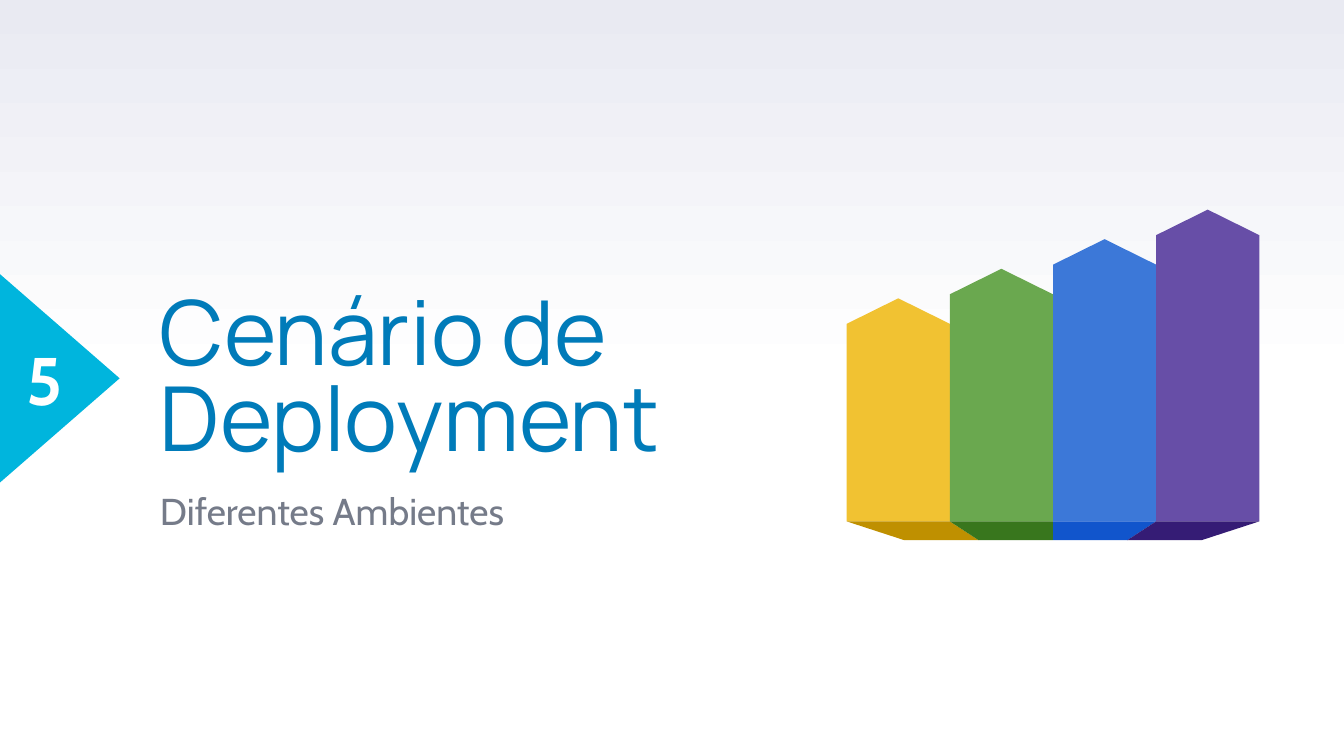
"""Build a section title slide with a rising bar illustration."""
from copy import deepcopy

from pptx import Presentation
from pptx.dml.color import RGBColor
from pptx.enum.shapes import MSO_SHAPE
from pptx.enum.text import MSO_ANCHOR, PP_ALIGN
from pptx.oxml.ns import qn
from pptx.util import Inches, Pt

TRIANGLE = MSO_SHAPE.ISOSCELES_TRIANGLE
TOP, MIDDLE, BOTTOM = MSO_ANCHOR.TOP, MSO_ANCHOR.MIDDLE, MSO_ANCHOR.BOTTOM
LEFT, CENTER = PP_ALIGN.LEFT, PP_ALIGN.CENTER

THEME = {
    "background": [(0, "FFFFFF"), (0.5, "FFFFFF"), (1, "E9EAF2")],
    "marker": "00B5DD",
    "title": ("Manrope", 48, "007BB9", False),
    "subtitle": ("Cabin", 20, "757B89", False),
    "number": ("Cabin", 36, "FFFFFF", True),
    "bars": [("F1C232", "BF9000"), ("6AA84F", "38761D"),
             ("3C78D8", "1155CC"), ("674EA7", "351C75")],
}

TEXTS = [
    ("Cenário de Deployment", "title", (1.19, 2.22, 5.11, 1.27), BOTTOM, LEFT, 0.8, 0),
    ("Diferentes Ambientes", "subtitle", (1.19, 3.6, 5.11, 0.42), TOP, LEFT, 1.1, 0),
    ("5", "number", (0, 2.04, 0.67, 1.55), MIDDLE, CENTER, 1, 0.1),
]
MARKER_BOX = (-0.33, 2.37, 1.55, 0.89)

SLIDE_WIDTH = 10
SLIDE_HEIGHT = SLIDE_WIDTH * 9 / 16
WALL_SPAN = (6.3, 9.37)
FLOOR_SPAN = (6.73, 8.94)
BASE, FLOOR_BOTTOM = 3.88, 4.02
FIRST_PEAK, PEAK_STEP, ROOF_HEIGHT = 2.22, 0.22, 0.19


def paint(shape, color):
    shape.fill.solid()
    shape.fill.fore_color.rgb = RGBColor.from_string(color)
    shape.line.fill.background()
    shape.shadow.inherit = False


def paint_background(slide):
    fill = slide.background.fill
    fill.gradient()
    fill.gradient_angle = 90
    stop_list = slide.element.find(".//" + qn("a:gsLst"))
    stop_list.append(deepcopy(stop_list[-1]))
    for stop, (position, color) in zip(fill.gradient_stops, THEME["background"]):
        stop.position = position
        stop.color.rgb = RGBColor.from_string(color)


def add_polygon(slide, points, color):
    corners = [(Inches(x), Inches(y)) for x, y in points]
    builder = slide.shapes.build_freeform(*corners[0])
    builder.add_line_segments(corners[1:], close=True)
    paint(builder.convert_to_shape(), color)


def column_edges(span, index):
    start, end = span
    width = (end - start) / len(THEME["bars"])
    return start + index * width, start + (index + 1) * width


def add_wall(slide, index, color):
    left, right = column_edges(WALL_SPAN, index)
    peak = FIRST_PEAK - index * PEAK_STEP
    shoulder = peak + ROOF_HEIGHT
    add_polygon(slide, [((left + right) / 2, peak), (left, shoulder), (left, BASE),
                        (right, BASE), (right, shoulder)], color)


def add_floor(slide, index, color):
    left, right = column_edges(WALL_SPAN, index)
    floor_left, floor_right = column_edges(FLOOR_SPAN, index)
    add_polygon(slide, [(left, BASE), (floor_left, FLOOR_BOTTOM),
                        (floor_right, FLOOR_BOTTOM), (right, BASE)], color)


def add_text(slide, wording, style, box, anchor, align, spacing, inset):
    frame = slide.shapes.add_textbox(*map(Inches, box)).text_frame
    frame.word_wrap = True
    frame.vertical_anchor = anchor
    frame.margin_left = frame.margin_right = Inches(inset)
    frame.margin_top = frame.margin_bottom = Inches(inset)
    frame.text = wording
    paragraph = frame.paragraphs[0]
    paragraph.alignment = align
    paragraph.line_spacing = spacing
    font = paragraph.runs[0].font
    font.name, size, color, font.bold = THEME[style]
    font.size = Pt(size)
    font.color.rgb = RGBColor.from_string(color)


def main():
    deck = Presentation()
    deck.slide_width, deck.slide_height = Inches(SLIDE_WIDTH), Inches(SLIDE_HEIGHT)
    slide = deck.slides.add_slide(deck.slide_layouts[6])
    paint_background(slide)
    marker = slide.shapes.add_shape(TRIANGLE, *map(Inches, MARKER_BOX))
    marker.rotation = 90
    paint(marker, THEME["marker"])
    for text in TEXTS:
        add_text(slide, *text)
    for index, (wall_color, _) in enumerate(THEME["bars"]):
        add_wall(slide, index, wall_color)
    for index, (_, floor_color) in enumerate(THEME["bars"]):
        add_floor(slide, index, floor_color)
    deck.save("out.pptx")


if __name__ == "__main__":
    main()
